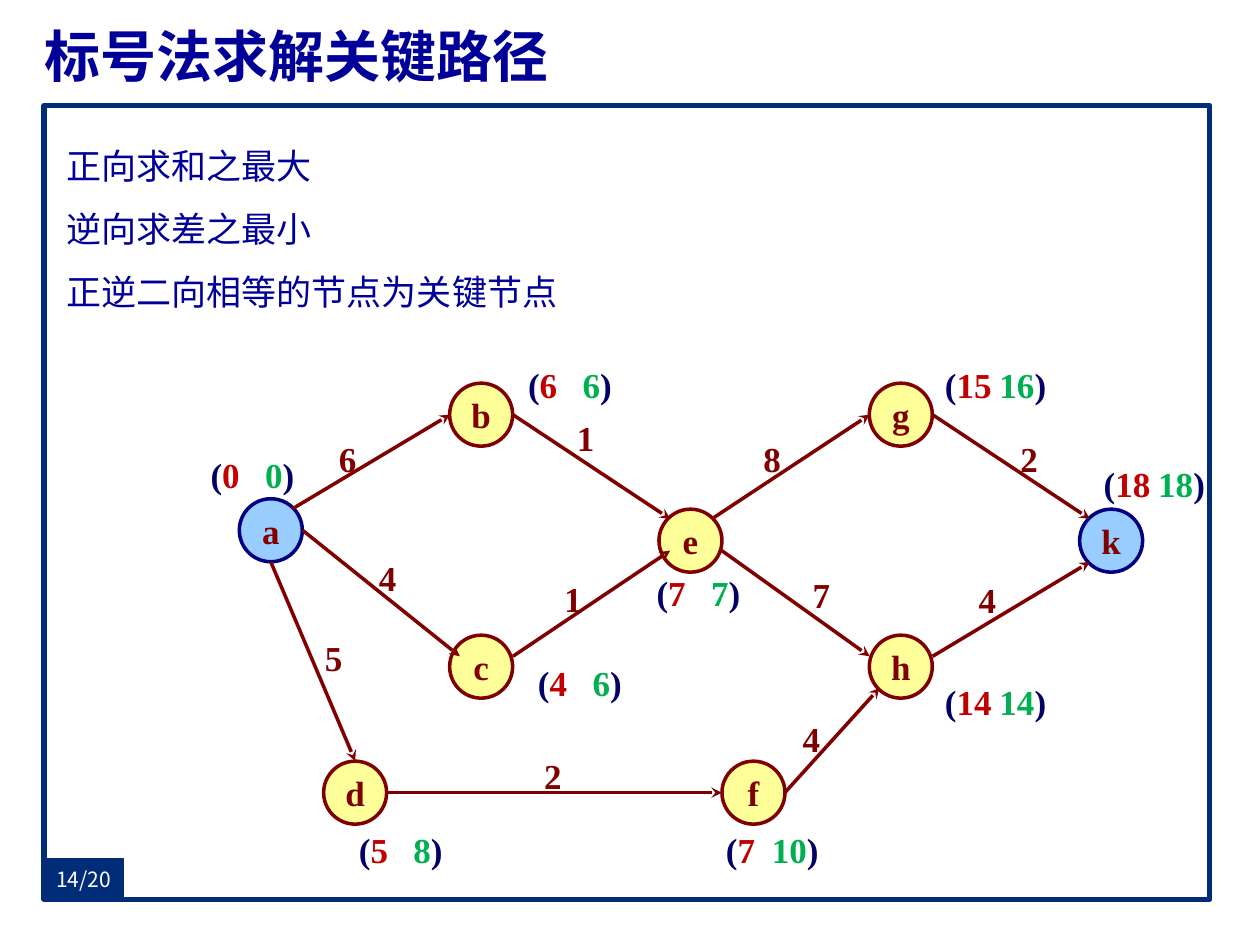
from lxml import etree
from pptx import Presentation
from pptx.dml.color import RGBColor
from pptx.enum.shapes import MSO_CONNECTOR, MSO_SHAPE
from pptx.enum.text import MSO_ANCHOR, PP_ALIGN
from pptx.oxml.ns import qn
from pptx.util import Cm, Pt

RECTANGLE, CIRCLE = MSO_SHAPE.RECTANGLE, MSO_SHAPE.OVAL
STRAIGHT = MSO_CONNECTOR.STRAIGHT
CENTER, LEFT = PP_ALIGN.CENTER, PP_ALIGN.LEFT
TOP, MIDDLE = MSO_ANCHOR.TOP, MSO_ANCHOR.MIDDLE

SERIF, SANS = "Times New Roman", "Noto Sans CJK SC"
WHITE, NAVY, HEADING = "FFFFFF", "012D78", "000099"
MAROON, PAREN, FORWARD, BACKWARD = "800000", "000066", "C00000", "00B050"
YELLOW, BLUE, BLUE_EDGE = "FFFF99", "99CCFF", "000080"
DIAMETER = 1.27

RULES = ["正向求和之最大", "逆向求差之最小", "正逆二向相等的节点为关键节点"]

# name: centre x, centre y, label left, label top, forward, backward
NODES = {
    "a": (5.46, 10.69, 3.94, 9.14, "0", "0"),
    "b": (9.7, 8.36, 10.34, 7.32, "6", "6"),
    "c": (9.7, 13.44, 10.54, 13.34, "4", "6"),
    "d": (7.16, 15.98, 6.93, 16.71, "5", "8"),
    "e": (13.92, 10.9, 12.93, 11.53, "7", "7"),
    "f": (15.19, 15.98, 14.33, 16.71, "7", "10"),
    "g": (18.16, 8.36, 18.92, 7.32, "15", "16"),
    "h": (18.16, 13.44, 18.92, 13.72, "14", "14"),
    "k": (22.4, 10.9, 22.12, 9.32, "18", "18"),
}
TERMINALS = ("a", "k")

# start, end, weight, weight position
EDGES = [
    ((5.89, 10.26), (9.07, 8.36), "6", (6.58, 8.69)),
    ((6.1, 10.69), (9.27, 13.23), "4", (7.39, 11.1)),
    ((5.46, 11.33), (7.16, 15.34), "5", (6.3, 12.7)),
    ((7.8, 15.98), (14.55, 15.98), "2", (10.72, 15.09)),
    ((10.34, 8.36), (13.51, 10.46), "1", (11.38, 8.28)),
    ((10.34, 13.23), (13.51, 11.1), "1", (11.13, 11.51)),
    ((14.35, 10.46), (17.53, 8.36), "8", (15.14, 8.69)),
    ((14.55, 11.1), (17.53, 13.23), "7", (16.13, 11.43)),
    ((18.8, 8.36), (21.97, 10.46), "2", (20.32, 8.69)),
    ((18.8, 13.23), (21.97, 11.33), "4", (19.48, 11.53)),
    ((15.82, 15.98), (17.73, 13.87), "4", (15.93, 14.33)),
]


def color(hex_value):
    return RGBColor.from_string(hex_value)


def add_run(paragraph, text, hex_value, size=20, bold=True, face=SERIF):
    run = paragraph.add_run()
    run.text = text
    font = run.font
    font.size, font.bold, font.name = Pt(size), bold, face
    font.color.rgb = color(hex_value)
    etree.SubElement(font._element, qn("a:ea")).set("typeface", SANS)


def set_frame(frame, anchor, inset, wrap=True):
    frame.word_wrap = wrap
    frame.vertical_anchor = anchor
    frame.margin_left = frame.margin_right = Cm(inset)
    frame.margin_top = frame.margin_bottom = Cm(inset / 2)


def add_text(slide, left, top, width, height, runs,
             align=CENTER, anchor=TOP, inset=0.0, **style):
    frame = slide.shapes.add_textbox(Cm(left), Cm(top), Cm(width), Cm(height)).text_frame
    set_frame(frame, anchor, inset)
    paragraph = frame.paragraphs[0]
    paragraph.alignment = align
    for text, hex_value in runs:
        add_run(paragraph, text, hex_value, **style)
    return frame


def add_box(slide, kind, left, top, width, height, fill, edge, weight):
    box = slide.shapes.add_shape(kind, Cm(left), Cm(top), Cm(width), Cm(height))
    box.shadow.inherit = False
    box.fill.solid()
    box.fill.fore_color.rgb = color(fill)
    box.line.color.rgb = color(edge)
    box.line.width = Pt(weight)
    frame = box.text_frame
    set_frame(frame, MIDDLE, 0, wrap=False)
    frame.paragraphs[0].alignment = CENTER
    return frame.paragraphs[0]


def add_rules(slide):
    frame = add_text(slide, 1.09, 2.79, 22.86, 4.4, [(RULES[0], HEADING)],
                     align=LEFT, inset=0.25, bold=False)
    for rule in RULES[1:]:
        paragraph = frame.add_paragraph()
        paragraph.space_before = Pt(6)
        add_run(paragraph, rule, HEADING, bold=False)
    for paragraph in frame.paragraphs:
        paragraph.space_after = Pt(6)
        paragraph.line_spacing = Pt(24)


def add_node(slide, name, x, y):
    fill, edge = (BLUE, BLUE_EDGE) if name in TERMINALS else (YELLOW, MAROON)
    caption = add_box(slide, CIRCLE, x - DIAMETER / 2, y - DIAMETER / 2,
                      DIAMETER, DIAMETER, fill, edge, 2)
    add_run(caption, name, MAROON)


def add_label(slide, left, top, forward, backward):
    add_text(slide, left, top, 1.2, 0.77, [("(", PAREN), (forward, FORWARD)])
    add_text(slide, left + 1.2, top, 1, 0.77, [(backward, BACKWARD), (")", PAREN)])


def add_arrow(slide, start, end):
    arrow = slide.shapes.add_connector(STRAIGHT, *(Cm(v) for v in start + end))
    arrow.line.color.rgb = color(MAROON)
    arrow.line.width = Pt(2)
    etree.SubElement(arrow.line._get_or_add_ln(), qn("a:tailEnd")).set("type", "stealth")
    etree.SubElement(arrow._element.spPr, qn("a:effectLst"))


def main():
    deck = Presentation()
    deck.slide_width, deck.slide_height = Cm(25.4), Cm(19.05)
    slide = deck.slides.add_slide(deck.slide_layouts[6])

    add_box(slide, RECTANGLE, 0.89, 2.13, 23.5, 16, WHITE, NAVY, 3)
    add_text(slide, 0.89, 0.33, 23.5, 1.57, [("标号法求解关键路径", HEADING)],
             align=LEFT, anchor=MIDDLE, size=32)
    add_rules(slide)

    for name, (x, y, *_) in NODES.items():
        add_node(slide, name, x, y)
    for start, end, *_ in EDGES:
        add_arrow(slide, start, end)
    for *_, weight, (left, top) in EDGES:
        add_text(slide, left, top, 0.75, 1.02, [(weight, MAROON)], inset=0.25)
    for _, _, *label in NODES.values():
        add_label(slide, *label)

    page = add_box(slide, RECTANGLE, 0.89, 17.32, 1.6, 0.79, NAVY, "032C75", 0.75)
    add_run(page, "14/20", WHITE, size=12, bold=False, face=SANS)
    deck.save("out.pptx")


if __name__ == "__main__":
    main()
